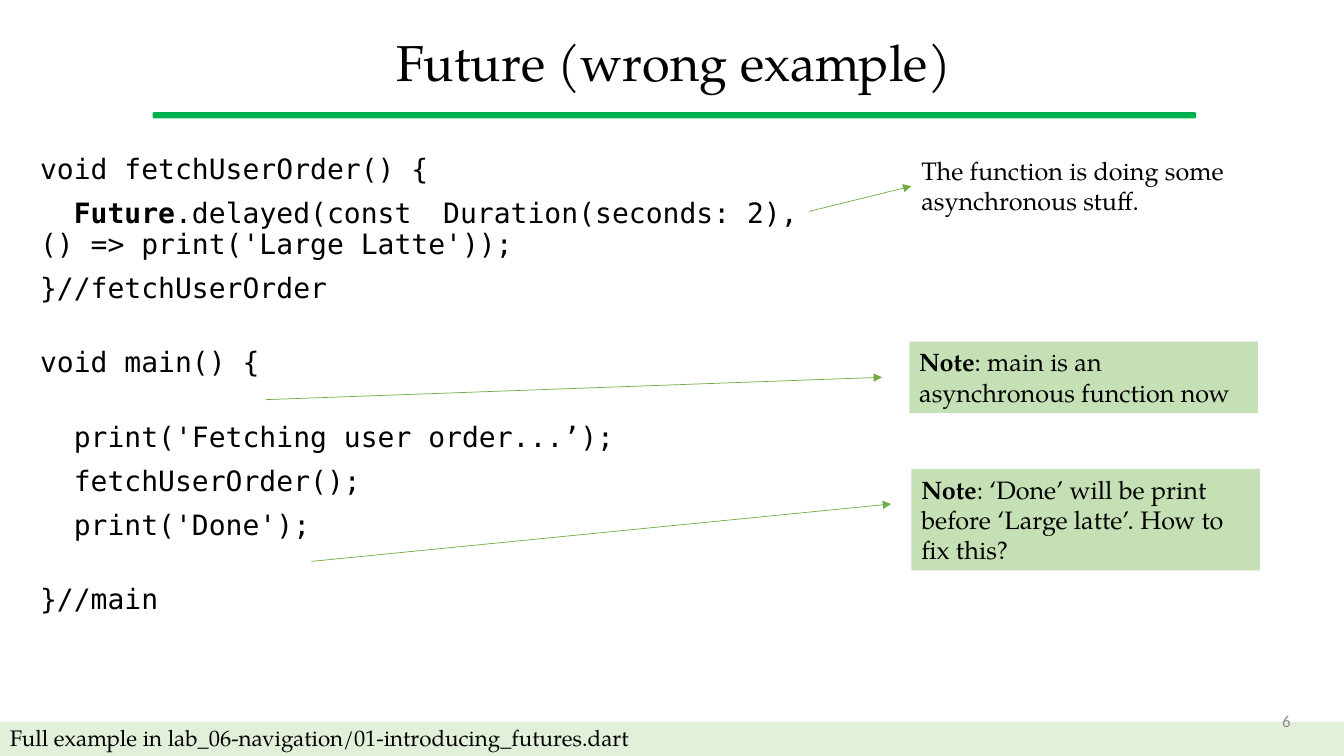
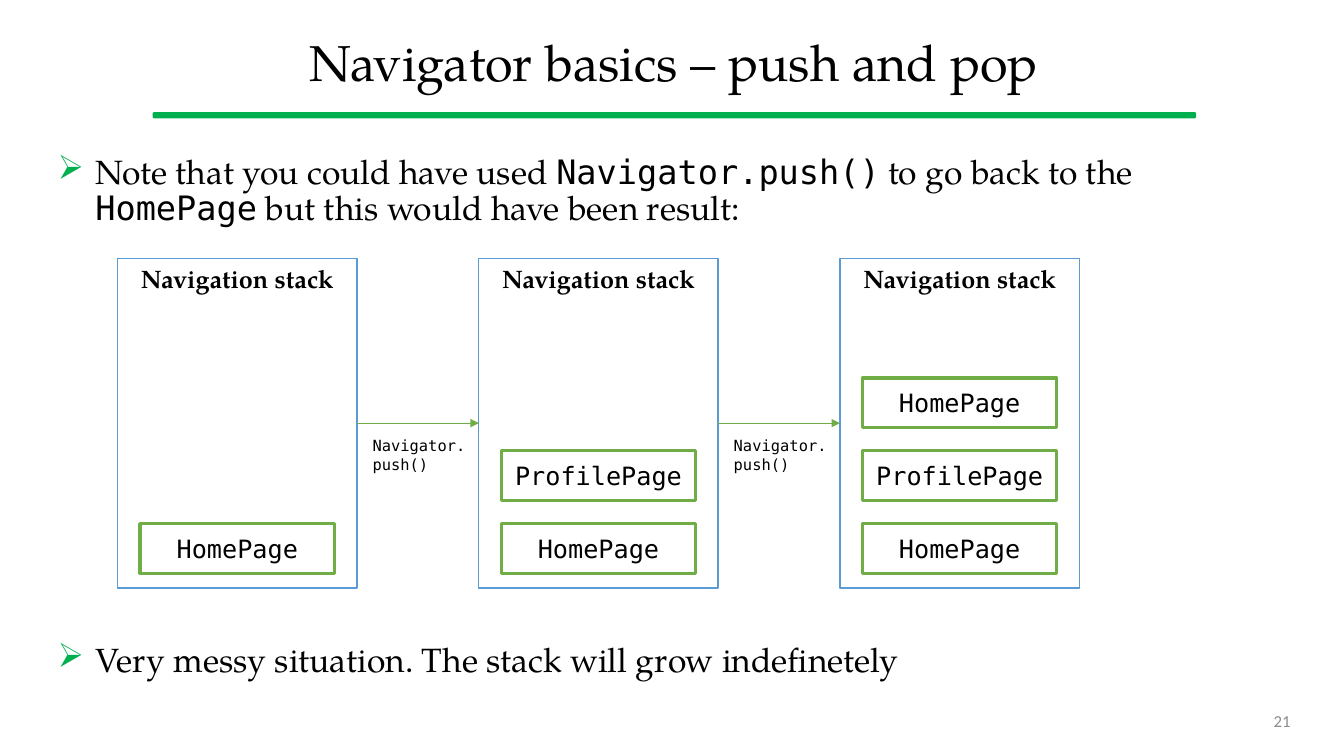
from dataclasses import dataclass

from lxml import etree
from pptx import Presentation
from pptx.dml.color import RGBColor
from pptx.enum import shapes as kinds, text as txt
from pptx.oxml import ns
from pptx.util import Pt


@dataclass(frozen=True)
class Theme:
    serif: str = "TeX Gyre Pagella"
    mono: str = "DejaVu Sans Mono"
    sans: str = "Calibri"
    ink: str = "000000"
    grey: str = "8C8C8C"
    white: str = "FFFFFF"
    accent: str = "00B050"
    leaf: str = "70AD47"
    blue: str = "5B9BD5"
    note: str = "C5E0B4"
    band: str = "E2F0D9"
    head: float = 36
    body: float = 24
    code: float = 20
    label: float = 18
    foot: float = 16
    page: float = 12
    small: float = 11


T = Theme()
LEFT, MID, RIGHT = (txt.PP_ALIGN.LEFT, txt.PP_ALIGN.CENTER, txt.PP_ALIGN.RIGHT)
TOP, HALF = txt.MSO_ANCHOR.TOP, txt.MSO_ANCHOR.MIDDLE
RECT, ROUND = kinds.MSO_SHAPE.RECTANGLE, kinds.MSO_SHAPE.ROUNDED_RECTANGLE


def rgb(code):
    return RGBColor.from_string(code)


def child(parent, tag, **attrs):
    return etree.SubElement(parent, ns.qn(tag), attrs)


def mark(para, sign="➢", inset=27):
    """Give the paragraph a coloured bullet and a hanging indent."""
    props = para._p.get_or_add_pPr()
    props.set("marL", str(Pt(inset)))
    props.set("indent", str(-Pt(inset)))
    child(child(props, "a:buClr"), "a:srgbClr", val=T.accent)
    child(props, "a:buChar", char=sign)


def write(shape, *paras, face=T.serif, size=T.label, color=T.ink, bold=False,
          align=LEFT, anchor=TOP, lead=None, gaps=(), bullet=False):
    """Fill a shape; a paragraph is a string or a list of strings and
    (string, font settings) pairs."""
    frame = shape.text_frame
    frame.word_wrap = True
    frame.vertical_anchor = anchor
    for i, runs in enumerate(paras):
        para = frame.add_paragraph() if i else frame.paragraphs[0]
        para.alignment = align
        if lead:
            para.line_spacing = lead
        if i and gaps:
            para.space_before = Pt(gaps[i - 1])
        if bullet:
            mark(para)
        for part in [runs] if isinstance(runs, str) else runs:
            words, extra = (part, {}) if isinstance(part, str) else part
            run = para.add_run()
            run.text = words
            run.font.name = extra.get("face", face)
            run.font.bold = extra.get("bold", bold)
            run.font.size = Pt(size)
            run.font.color.rgb = rgb(color)


class Deck:
    def __init__(self):
        self.file = Presentation()
        self.file.slide_width, self.file.slide_height = Pt(960), Pt(540)
        self.slide = None

    def page(self, title, number, foot=None):
        """Start a slide with its title, rule, page number and footer band."""
        self.slide = self.file.slides.add_slide(self.file.slide_layouts[6])
        rule = self.shape(109.5, 80.5, 744.5, 3.6, fill=T.accent,
                          line=T.accent, kind=ROUND)
        rule.adjustments[0] = 0.26
        self.text(34, 13, 895, 67.5, title, size=T.head, align=MID,
                  anchor=HALF, lead=0.9)
        if foot:
            band = self.shape(0, 515.5, 960, 24.5, fill=T.band)
            write(band, foot, size=T.foot, anchor=HALF, lead=0.9)
        self.text(678, 500.5, 251, 29, number, face=T.sans, size=T.page,
                  color=T.grey, align=RIGHT, anchor=HALF)

    def shape(self, x, y, w, h, fill=None, line=None, width=1, kind=RECT):
        item = self.slide.shapes.add_shape(kind, Pt(x), Pt(y), Pt(w), Pt(h))
        item.shadow.inherit = False
        if fill:
            item.fill.solid()
            item.fill.fore_color.rgb = rgb(fill)
        else:
            item.fill.background()
        if line:
            item.line.color.rgb = rgb(line)
            item.line.width = Pt(width)
        else:
            item.line.fill.background()
        return item

    def text(self, x, y, w, h, *paras, **style):
        box = self.slide.shapes.add_textbox(Pt(x), Pt(y), Pt(w), Pt(h))
        write(box, *paras, **style)
        return box

    def note(self, x, y, w, h, words):
        write(self.shape(x, y, w, h, fill=T.note),
              [("Note", {"bold": True}), words])

    def arrow(self, start=(0, 0), end=(0, 0), source=None, target=None):
        """Draw from start or source's right side to end or target's left."""
        item = self.slide.shapes.add_connector(
            kinds.MSO_CONNECTOR.STRAIGHT, *map(Pt, (*start, *end)))
        if source:
            item.begin_connect(source, 3)
        if target:
            item.end_connect(target, 1)
        item.line.color.rgb = rgb(T.leaf)
        item.line.width = Pt(0.5)
        child(item.line._get_or_add_ln(), "a:tailEnd", type="triangle")
        child(item._element.spPr, "a:effectLst")

    def stack(self, x, y, pages):
        """Draw a navigation stack with its pages, the first at the bottom."""
        frame = self.shape(x, y, 171, 235.5, line=T.blue)
        write(frame, "Navigation stack", bold=True, align=MID)
        for level, name in enumerate(pages):
            card = self.shape(x + 16, y + 189.5 - 52 * level, 139, 35.5,
                              fill=T.white, line=T.leaf, width=2.25)
            write(card, name, face=T.mono, align=MID, anchor=HALF)
        return frame


def future(deck):
    deck.page("Future (wrong example)", "6",
              "Full example in lab_06-navigation/01-introducing_futures.dart")
    deck.text(
        21.5, 107.5, 566, 400,
        "void fetchUserOrder() {",
        ["  ", ("Future", {"bold": True}),
         ".delayed(const \tDuration(seconds: 2), "
         "() => print('Large Latte'));"],
        "}//fetchUserOrder",
        "void main() {",
        "  print('Fetching user order...’);",
        "  fetchUserOrder();",
        "  print('Done');",
        "}//main",
        face=T.mono, size=T.code, lead=0.9,
        gaps=(10, 10, 31.5, 31.5, 10, 10, 31.5))
    remark = deck.text(651, 107.5, 265.5, 51,
                       "The function is doing some asynchronous stuff.")
    deck.note(649.5, 244, 249, 51, ": main is an asynchronous function now")
    deck.note(651, 335, 249, 72.5, ": ‘Done’ will be print before "
              "‘Large latte’. How to fix this?")
    deck.arrow((578, 151), target=remark)
    deck.arrow((189.5, 285.5), (630, 269.5))
    deck.arrow((222.5, 401), (636.5, 360))


def basics(deck):
    deck.page("Navigator basics – push and pop", "21")
    code = {"face": T.mono}
    bullets = (
        (107.5, 65, ["Note that you could have used ",
                     ("Navigator.push()", code), " to go back to the ",
                     ("HomePage", code),
                     " but this would have been result:"]),
        (456, 40, "Very messy situation. The stack will grow indefinetely"))
    for y, h, words in bullets:
        deck.text(34, y, 888, h, words, size=T.body, lead=0.9, bullet=True)

    pages = ("HomePage", "ProfilePage", "HomePage")
    last = None
    for i in range(len(pages)):
        x = 84 + 258 * i
        stack = deck.stack(x, 184.5, pages[:i + 1])
        if last:
            deck.arrow(source=last, target=stack)
            deck.text(x - 83, 308, 84, 34, "Navigator.push()",
                      face=T.mono, size=T.small)
        last = stack


def main():
    deck = Deck()
    future(deck)
    basics(deck)
    deck.file.save("out.pptx")


if __name__ == "__main__":
    main()
